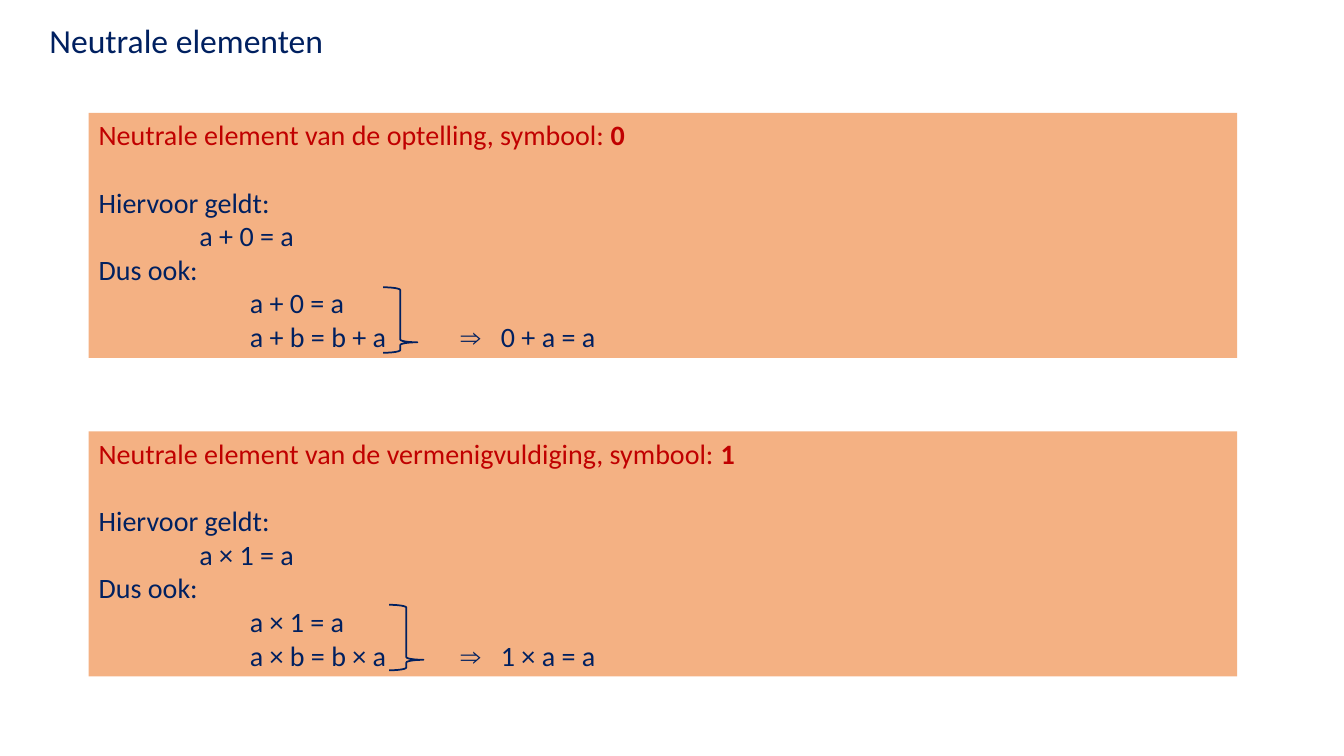
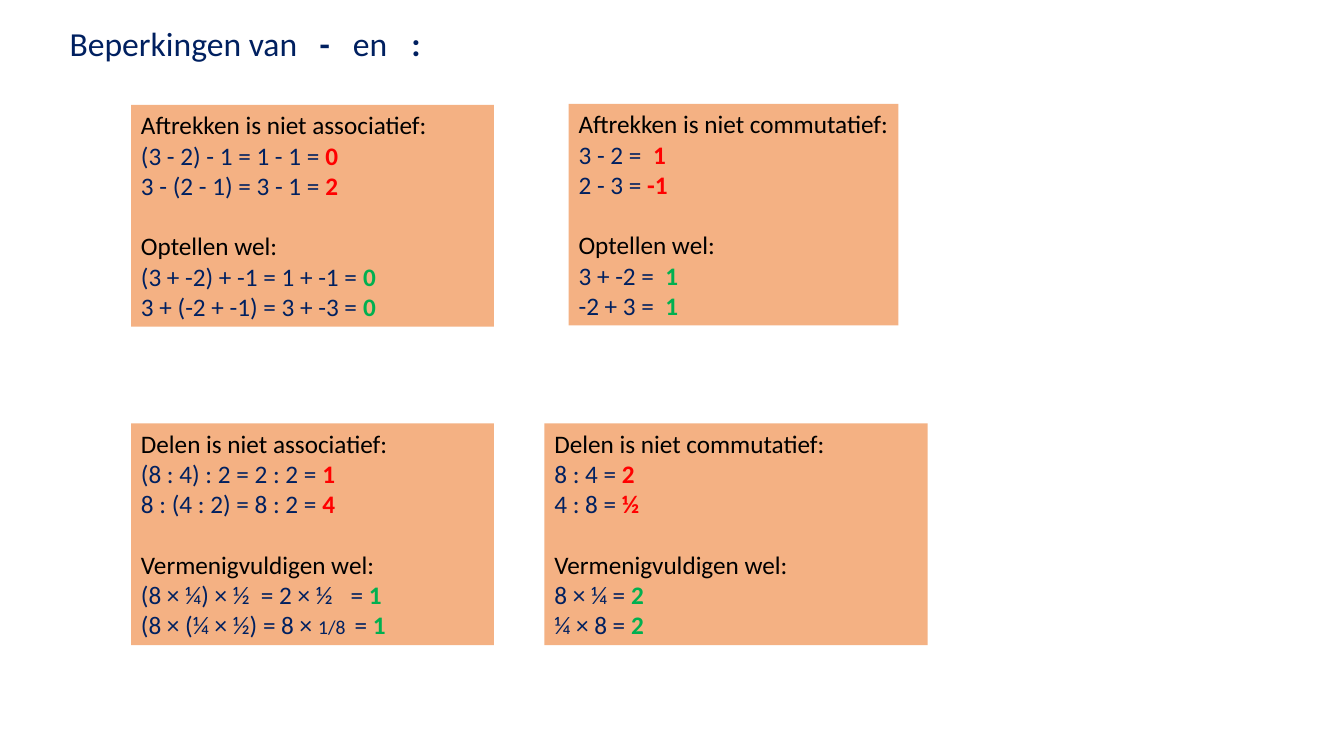
"""Build two slides on neutral elements and on the limits of subtraction and division."""
from lxml import etree
from pptx import Presentation
from pptx.dml.color import RGBColor
from pptx.enum.shapes import MSO_SHAPE as SHAPE
from pptx.enum.text import MSO_ANCHOR as ANCHOR, PP_ALIGN as ALIGN
from pptx.oxml.ns import qn
from pptx.util import Inches, Pt

COLORS = {"navy": "002060", "card": "F4B183", "heading": "C00000",
          "black": "000000", "wrong": "FF0000", "right": "00B050"}
BOLD = {"bold": True}
WRONG = {"bold": True, "color": "wrong"}
RIGHT = {"bold": True, "color": "right"}


def write_line(paragraph, size, color, runs, stops=(), gap=0):
    paragraph.alignment = ALIGN.LEFT
    paragraph.space_before = Pt(gap)
    if stops:
        tabs = etree.SubElement(paragraph._p.get_or_add_pPr(), qn("a:tabLst"))
        for stop in stops:
            etree.SubElement(tabs, qn("a:tab"), pos=str(Inches(stop)), algn="l")
    paragraph.font.name = "Calibri"
    paragraph.font.size = Pt(size)
    paragraph.font.color.rgb = RGBColor.from_string(COLORS[color])
    for text, style in runs:
        run = paragraph.add_run()
        run.text = text
        if "bold" in style:
            run.font.bold = style["bold"]
        if "color" in style:
            run.font.color.rgb = RGBColor.from_string(COLORS[style["color"]])
        if "size" in style:
            run.font.size = Pt(style["size"])
        if "font" in style:
            run.font.name = style["font"]


def add_card(slide, left, top, width, height, size, lines):
    card = slide.shapes.add_shape(SHAPE.RECTANGLE, Inches(left), Inches(top),
                                  Inches(width), Inches(height))
    card.shadow.inherit = False
    card.fill.solid()
    card.fill.fore_color.rgb = RGBColor.from_string(COLORS["card"])
    card.line.fill.background()
    frame = card.text_frame
    frame.word_wrap = True
    frame.vertical_anchor = ANCHOR.TOP
    for index, (color, runs, stops, gap) in enumerate(lines):
        paragraph = frame.add_paragraph() if index else frame.paragraphs[0]
        write_line(paragraph, size, color, runs, stops, gap)


prs = Presentation()
prs.slide_width = Inches(13.33)
prs.slide_height = Inches(7.5)

titles = [
    (0.39, 0.15, [("Neutrale elementen", {})], ()),
    (0.59, 0.18, [("Beperkingen van\t", {}), ("-", BOLD), ("\ten\t", {}), (":", BOLD)],
     (2.48, 2.81, 3.39)),
]
slides = []
for left, top, runs, stops in titles:
    slide = prs.slides.add_slide(prs.slide_layouts[5])
    title = slide.shapes.title
    title.left, title.top = Inches(left), Inches(top)
    title.width, title.height = Inches(5), Inches(0.5)
    title.text_frame.vertical_anchor = ANCHOR.TOP
    write_line(title.text_frame.paragraphs[0], 24, "navy", runs, stops)
    slides.append(slide)
neutral_slide, limits_slide = slides

neutral_elements = [
    (1.12, "optelling", "+", "0", 3.8, 2.85),
    (4.28, "vermenigvuldiging", "×", "1", 3.86, 6),
]
for top, operation, sign, symbol, brace_left, brace_top in neutral_elements:
    rule = f"\ta {sign} {symbol} = a"
    conclusion = [(f"\ta {sign} b = b {sign} a\t", {}), ("⇒", {"font": "Arial"}),
                  (f"\t{symbol} {sign} a = a", {})]
    add_card(neutral_slide, 0.88, top, 11.39, 2.43, 20, [
        ("heading", [(f"Neutrale element van de {operation}, symbool: ", {}),
                     (symbol, BOLD)], (), 0),
        ("navy", [("Hiervoor geldt:", {})], (), 24),
        ("navy", [(rule, {})], (1,), 0),
        ("navy", [("Dus ook:", {})], (), 0),
        ("navy", [(rule, {})], (1.5,), 0),
        ("navy", conclusion, (1.5, 3.59, 3.99), 0),
    ])
    brace = neutral_slide.shapes.add_shape(SHAPE.RIGHT_BRACE, Inches(brace_left),
                                           Inches(brace_top), Inches(0.34), Inches(0.65))
    brace.shadow.inherit = False
    brace.fill.background()
    brace.line.color.rgb = RGBColor.from_string(COLORS["navy"])
    brace.line.width = Pt(1.25)
    brace.adjustments[0] = 0.08
    brace.adjustments[1] = 0.84

limits = [
    (1.3, 1.04, 3.6, "Aftrekken is niet associatief:", "Optellen wel:",
     [([("(3 - 2) - 1 = 1 - 1 = ", {}), ("0", WRONG)], ()),
      ([("3 - (2 - 1) = 3 - 1 = ", {}), ("2", WRONG)], ())],
     [([("(3 + -2) + -1 = 1 + -1 = ", {}), ("0", RIGHT)], ()),
      ([("3 + (-2 + -1) = 3 + -3 = ", {}), ("0", RIGHT)], ())]),
    (5.64, 1.03, 3.27, "Aftrekken is niet commutatief:", "Optellen wel:",
     [([("3 - 2 =\t", {}), ("1", WRONG)], (0.74,)),
      ([("2 - 3 = ", {}), ("-1", WRONG)], ())],
     [([("3 + -2 =\t", {}), ("1", RIGHT)], (0.86,)),
      ([("-2 + 3 =\t", {}), ("1", RIGHT)], (0.86,))]),
    (1.3, 4.2, 3.6, "Delen is niet associatief:", "Vermenigvuldigen wel:",
     [([("(8 : 4) : 2 = 2 : 2 = ", {}), ("1", WRONG)], ()),
      ([("8 : (4 : 2) = 8 : 2 = ", {}), ("4", WRONG)], ())],
     [([("(8 × ¼) × ½\t= 2 × ½\t= ", {}), ("1", RIGHT)], (1.19, 2.08)),
      ([("(8 × (¼ × ½) = 8 × ", {}), ("1/8", {"size": 14}), ("\t= ", {}),
        ("1", RIGHT)], (2.12,))]),
    (5.4, 4.2, 3.8, "Delen is niet commutatief:", "Vermenigvuldigen wel:",
     [([("8 : 4 = ", {}), ("2", WRONG)], ()),
      ([("4 : 8 = ", {}), ("½", WRONG)], ())],
     [([("8 × ¼ = ", {}), ("2", RIGHT)], ()),
      ([("¼ × 8 = ", {}), ("2", RIGHT)], ())]),
]
for left, top, width, claim, contrast, failing, holding in limits:
    lines = [("black", [(claim, {})], (), 0)]
    lines += [("navy", runs, stops, 0) for runs, stops in failing]
    lines.append(("black", [(contrast, {})], (), 21.6))
    lines += [("navy", runs, stops, 0) for runs, stops in holding]
    add_card(limits_slide, left, top, width, 2.2, 18, lines)

prs.save("out.pptx")
